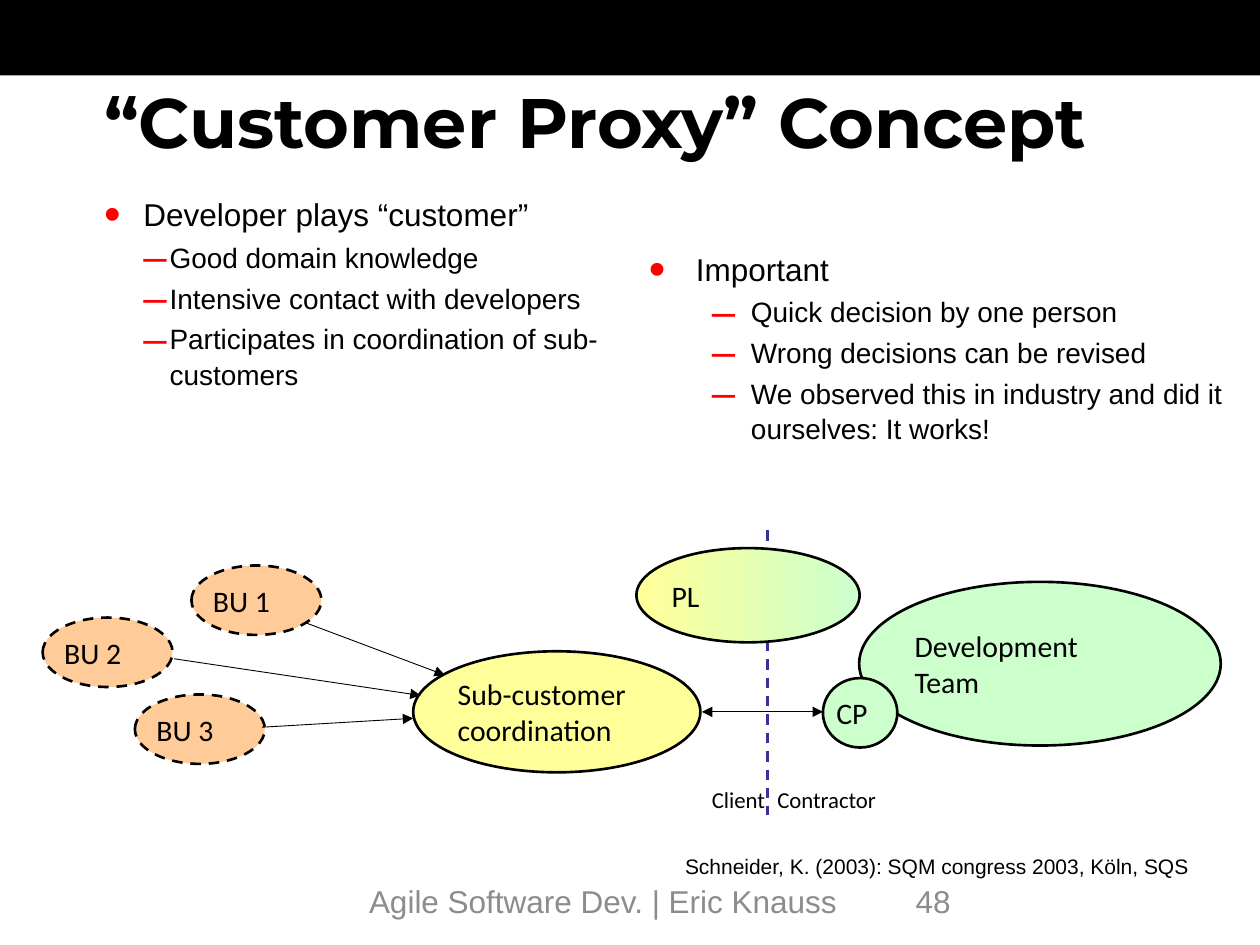
from dataclasses import dataclass

from lxml import etree
from pptx import Presentation
from pptx.dml.color import RGBColor
from pptx.enum import dml, shapes, text
from pptx.oxml import ns
from pptx.util import Cm, Pt


@dataclass(frozen=True)
class Theme:
    # Colours
    black: str = "000000"
    white: str = "FFFFFF"
    red: str = "FF0000"
    blue: str = "333399"
    gray: str = "8C8C8C"
    peach: str = "FFCC99"
    lemon: str = "FFFF99"
    mint: str = "CCFFCC"
    # Fonts
    head: str = "Montserrat"
    body: str = "Arial"
    draw: str = "Calibri"
    # Type sizes
    title: int = 40
    main: int = 18
    node: int = 17
    sub: int = 16
    side: int = 13
    cite: int = 12


def rgb(code):
    return RGBColor.from_string(code)


def add_tag(parent, tag, **attrs):
    return etree.SubElement(parent, ns.qn(tag), attrs)


class Deck:
    def __init__(self, theme):
        self.theme = theme
        self.file = Presentation()
        self.file.slide_width, self.file.slide_height = Cm(25.4), Cm(19.05)
        self.slide = self.file.slides.add_slide(self.file.slide_layouts[6])
        self.slide.background.fill.solid()
        self.slide.background.fill.fore_color.rgb = rgb(theme.white)

    def run(self, para, words, size, font, color, bold=False):
        run = para.add_run()
        run.text = words
        run.font.size, run.font.name, run.font.bold = Pt(size), font, bold
        run.font.color.rgb = rgb(color)

    def frame(self, shape, pad, wrap=True, anchor=text.MSO_ANCHOR.TOP):
        frame = shape.text_frame
        frame.word_wrap, frame.vertical_anchor = wrap, anchor
        frame.margin_left = frame.margin_right = Cm(pad[0])
        frame.margin_top = frame.margin_bottom = Cm(pad[1])
        return frame

    def band(self, *box):
        self.shape(shapes.MSO_SHAPE.RECTANGLE, box, [self.theme.black]).line.fill.background()

    def shape(self, kind, box, fills):
        shape = self.slide.shapes.add_shape(kind, *map(Cm, box))
        shape.shadow.inherit = False
        if len(fills) == 1:
            shape.fill.solid()
            shape.fill.fore_color.rgb = rgb(fills[0])
        else:
            shape.fill.gradient()
            shape.fill.gradient_angle = 0
            for stop, color in zip(shape.fill.gradient_stops, fills):
                stop.color.rgb = rgb(color)
        return shape

    def node(self, lines, box, *fills, dash=False):
        shape = self.shape(shapes.MSO_SHAPE.OVAL, box, fills)
        shape.line.color.rgb, shape.line.width = rgb(self.theme.black), Pt(1.5)
        if dash:
            shape.line.dash_style = dml.MSO_LINE.DASH
        para = self.frame(shape, (0.05, 0.03), False, text.MSO_ANCHOR.MIDDLE).paragraphs[0]
        para.alignment = text.PP_ALIGN.LEFT
        for i, line in enumerate(lines):
            if i:
                para.add_line_break()
            self.run(para, line, self.theme.node, self.theme.draw, self.theme.black)

    def line(self, start, end, color, width, dash=False, ends=()):
        line = self.slide.shapes.add_connector(
            shapes.MSO_CONNECTOR.STRAIGHT, *map(Cm, start + end))
        line.line.color.rgb, line.line.width = rgb(color), Pt(width)
        if dash:
            line.line.dash_style = dml.MSO_LINE.DASH
        for end_tag in ends:
            add_tag(line.line._get_or_add_ln(), end_tag, type="triangle")
        add_tag(line._element.spPr, "a:effectLst")

    def label(self, words, box, size, font, color, bold=False, pad=(0.25, 0.13),
              wrap=True, anchor=text.MSO_ANCHOR.TOP, align=text.PP_ALIGN.LEFT):
        shape = self.slide.shapes.add_textbox(*map(Cm, box))
        para = self.frame(shape, pad, wrap, anchor).paragraphs[0]
        para.alignment = align
        self.run(para, words, size, font, color, bold)

    def bullets(self, box, lead, points, indents):
        look = self.theme
        shape = self.slide.shapes.add_textbox(*map(Cm, box))
        frame = self.frame(shape, (0.2, 0.1))
        for i, words in enumerate([lead, *points]):
            level = min(i, 1)
            para = frame.add_paragraph() if i else frame.paragraphs[0]
            left, hang = indents[level]
            props = para._p.get_or_add_pPr()
            props.set("marL", str(Cm(left)))
            props.set("indent", str(-Cm(hang)))
            para.level, para.line_spacing = level, 1.05
            size = (look.main, look.sub)[level]
            if i:
                para.space_before = Pt(size * 0.2)
            add_tag(add_tag(props, "a:buClr"), "a:srgbClr", val=look.red)
            add_tag(props, "a:buSzPct", val="150000")
            add_tag(props, "a:buFont", typeface=look.body)
            add_tag(props, "a:buChar", char="•–"[level])
            self.run(para, words, size, look.body, look.black)


def main():
    look = Theme()
    deck = Deck(look)

    # Top band and title
    deck.band(0, 0, 25.4, 1.52)
    deck.label("“Customer Proxy” Concept", (1.9, 1.48, 21.6, 2.54), look.title,
               look.head, look.black, bold=True, pad=(0.2, 0.1))

    # Two bullet lists
    deck.bullets((1.9, 3.8, 10.62, 13.13), "Developer plays “customer”",
                 ["Good domain knowledge", "Intensive contact with developers",
                  "Participates in coordination of sub-customers"],
                 [(0.79, 0.79), (1.32, 0.53)])
    deck.bullets((12.88, 4.9, 12.09, 11.79), "Important",
                 ["Quick decision by one person", "Wrong decisions can be revised",
                  "We observed this in industry and did it ourselves: It works!"],
                 [(0.95, 0.95), (2.06, 0.79)])

    # Border between client and contractor
    deck.line((15.47, 10.69), (15.47, 16.43), look.blue, 1.5, dash=True)

    # Business units
    for i, spot in enumerate([(3.86, 11.4), (0.86, 12.45), (2.72, 14)], 1):
        deck.node([f"BU {i}"], (*spot, 2.62, 1.4), look.peach, dash=True)

    # Other roles
    deck.node(["Development", "Team"], (17.32, 11.73, 7.29, 3.3), look.mint)
    deck.node(["Sub-customer ", "coordination"], (8.33, 13.13, 5.79, 2.44), look.lemon)
    deck.node(["CP"], (16.59, 13.67, 1.5, 1.4), look.mint)
    deck.node(["PL"], (12.83, 11.05, 4.5, 1.9), look.lemon, look.mint)

    # Arrows
    tail = ("a:tailEnd",)
    both = ("a:headEnd", "a:tailEnd")
    for start, end, ends in [
        ((6.15, 12.55), (8.97, 13.61), tail),
        ((3.51, 13.28), (8.48, 14.02), tail),
        ((5.28, 14.66), (8.33, 14.48), tail),
        ((14.15, 14.35), (16.59, 14.35), both),
    ]:
        deck.line(start, end, look.black, 0.5, ends=ends)

    # Side names
    for words, left, width, align in [
        ("Client", 11.96, 3.51, text.PP_ALIGN.RIGHT),
        ("Contractor", 15.62, 3.43, text.PP_ALIGN.LEFT),
    ]:
        deck.label(words, (left, 15.72, width, 0.81), look.side, look.draw, look.black,
                   pad=(0.05, 0.03), wrap=False, anchor=text.MSO_ANCHOR.MIDDLE, align=align)

    # Citation and footer
    deck.label("Schneider, K. (2003): SQM congress 2003, Köln, SQS",
               (13.56, 17.07, 11.1, 0.76), look.cite, look.body, look.black, wrap=False)
    for words, left, width in [("Agile Software Dev. | Eric Knauss", 7.19, 11),
                               ("48", 18.21, 5.92)]:
        deck.label(words, (left, 17.65, width, 1.02), look.main, look.body, look.gray)

    deck.file.save("out.pptx")


if __name__ == "__main__":
    main()
